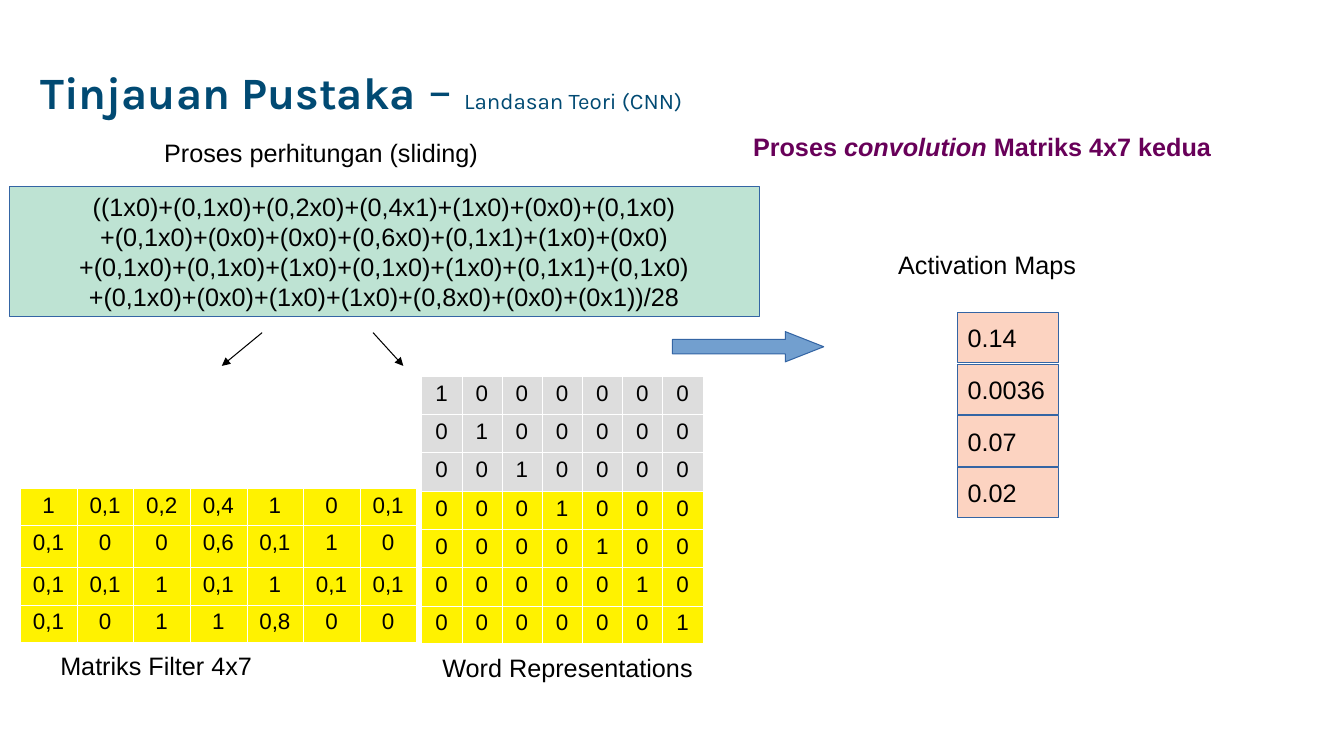
from lxml.etree import SubElement
from pptx import Presentation
from pptx.dml.color import RGBColor
from pptx.enum.shapes import MSO_CONNECTOR, MSO_SHAPE
from pptx.enum.text import MSO_ANCHOR, MSO_AUTO_SIZE, PP_ALIGN
from pptx.oxml.ns import qn
from pptx.util import Inches, Pt

BLACK, WHITE, NAVY, PURPLE = "000000", "FFFFFF", "014A73", "680059"
GREEN, PEACH, BLUE, OUTLINE = "BEE3D3", "FCD3C1", "729FCF", "3465A4"
YELLOW, GREY = "FFF200", "DDDDDD"

FORMULA = [
    "((1x0)+(0,1x0)+(0,2x0)+(0,4x1)+(1x0)+(0x0)+(0,1x0)",
    "+(0,1x0)+(0x0)+(0x0)+(0,6x0)+(0,1x1)+(1x0)+(0x0)",
    "+(0,1x0)+(0,1x0)+(1x0)+(0,1x0)+(1x0)+(0,1x1)+(0,1x0)",
    "+(0,1x0)+(0x0)+(1x0)+(1x0)+(0,8x0)+(0x0)+(0x1))/28",
]
FILTER = [
    ["1", "0,1", "0,2", "0,4", "1", "0", "0,1"],
    ["0,1", "0", "0", "0,6", "0,1", "1", "0"],
    ["0,1", "0,1", "1", "0,1", "1", "0,1", "0,1"],
    ["0,1", "0", "1", "1", "0,8", "0", "0"],
]
ONE_HOT = [["1" if row == col else "0" for col in range(7)] for row in range(7)]
ACTIVATIONS = ["0.14", "0.0036", "0.07", "0.02"]


def rgb(color):
    return RGBColor.from_string(color)


def add_run(p, text, size=18, color=BLACK, font="Arial", bold=False, italic=False):
    r = p.add_run()
    r.text = text
    r.font.size, r.font.name = Pt(size), font
    r.font.bold, r.font.italic = bold, italic
    r.font.color.rgb = rgb(color)


def add_label(s, x, y, w, h, text=None):
    tf = s.shapes.add_textbox(Inches(x), Inches(y), Inches(w), Inches(h)).text_frame
    tf.word_wrap = True
    p = tf.paragraphs[0]
    if text:
        add_run(p, text)
    return p


def add_box(s, kind, x, y, w, h, fill, lines=(), align=PP_ALIGN.LEFT):
    sp = s.shapes.add_shape(kind, Inches(x), Inches(y), Inches(w), Inches(h))
    sp.shadow.inherit = False
    sp.fill.solid()
    sp.fill.fore_color.rgb = rgb(fill)
    sp.line.color.rgb = rgb(OUTLINE)
    sp.line.width = Pt(0.75)
    tf = sp.text_frame
    tf.word_wrap = False
    tf.vertical_anchor = MSO_ANCHOR.MIDDLE
    for i, line in enumerate(lines):
        p = tf.add_paragraph() if i else tf.paragraphs[0]
        p.alignment = align
        add_run(p, line)
    return sp


def add_arrow(s, x1, y1, x2, y2):
    line = s.shapes.add_connector(MSO_CONNECTOR.STRAIGHT, Inches(x1), Inches(y1),
                                  Inches(x2), Inches(y2))
    line.line.color.rgb = rgb(BLACK)
    line.line.width = Pt(0.75)
    SubElement(line.line._get_or_add_ln(), qn("a:tailEnd"), type="triangle")
    SubElement(line._element.spPr, qn("a:effectLst"))


def add_borders(cell):
    tcPr = cell._tc.get_or_add_tcPr()
    for side in ("lnL", "lnR", "lnT", "lnB"):
        ln = SubElement(tcPr, qn(f"a:{side}"), w="720")
        SubElement(SubElement(ln, qn("a:solidFill")), qn("a:srgbClr"), val=WHITE)


def add_matrix(s, x, y, w, heights, values, fills):
    table = s.shapes.add_table(len(values), len(values[0]), Inches(x), Inches(y),
                               Inches(w), Inches(sum(heights))).table
    table.first_row = table.horz_banding = False
    for row, height in zip(table.rows, heights):
        row.height = Inches(height)
    for i, (row, fill) in enumerate(zip(values, fills)):
        for j, value in enumerate(row):
            cell = table.cell(i, j)
            add_borders(cell)
            cell.fill.solid()
            cell.fill.fore_color.rgb = rgb(fill)
            p = cell.text_frame.paragraphs[0]
            p.alignment = PP_ALIGN.CENTER
            add_run(p, value, 16)


def add_title(s):
    title = s.shapes.title
    title.left, title.top = Inches(0.3), Inches(0.2)
    title.width, title.height = Inches(7.5), Inches(1.45)
    tf = title.text_frame
    tf.word_wrap = True
    tf.auto_size = MSO_AUTO_SIZE.NONE
    tf.vertical_anchor = MSO_ANCHOR.MIDDLE
    p = tf.paragraphs[0]
    p.alignment = PP_ALIGN.LEFT
    p.line_spacing = 0.9
    add_run(p, "Tinjauan Pustaka", 32, NAVY, "Karla", bold=True)
    add_run(p, " – ", 36, NAVY, "Karla")
    add_run(p, "Landasan Teori (CNN)", 16, NAVY, "Karla")


def main():
    prs = Presentation()
    prs.slide_width, prs.slide_height = Inches(13.33), Inches(7.5)
    s = prs.slides.add_slide(prs.slide_layouts[5])
    add_title(s)

    # Matrices
    add_matrix(s, 4.18, 3.73, 2.79, [0.38] * 6 + [0.37], ONE_HOT, [GREY] * 3 + [YELLOW] * 4)
    add_matrix(s, 0.2, 4.84, 3.93, [0.37, 0.42, 0.37, 0.37], FILTER, [YELLOW] * 4)
    add_label(s, 0.5, 6.4, 2.5, 0.38, "Matriks Filter 4x7")
    add_label(s, 4.29, 6.42, 3.1, 0.38, "Word Representations")

    # Sliding calculation
    add_label(s, 1.53, 1.31, 3.97, 0.38, "Proses perhitungan (sliding)")
    add_box(s, MSO_SHAPE.RECTANGLE, 0.09, 1.85, 7.44, 1.29, GREEN, FORMULA, PP_ALIGN.CENTER)
    add_arrow(s, 2.6, 3.3, 2.2, 3.63)
    add_arrow(s, 3.7, 3.3, 4, 3.63)

    # Convolution result
    p = add_label(s, 7.37, 1.25, 5.59, 0.66)
    add_run(p, "Proses ", color=PURPLE, bold=True)
    add_run(p, "convolution", color=PURPLE, bold=True, italic=True)
    add_run(p, " Matriks 4x7 kedua", color=PURPLE, bold=True)
    arrow = add_box(s, MSO_SHAPE.RIGHT_ARROW, 6.67, 3.29, 1.5, 0.3, BLUE)
    arrow.adjustments[0], arrow.adjustments[1] = 0.48, 1.27
    add_label(s, 8.81, 2.42, 2.29, 0.38, "Activation Maps")
    for i, value in enumerate(ACTIVATIONS):
        add_box(s, MSO_SHAPE.RECTANGLE, 9.5, 3.1 + 0.513 * i, 1, 0.5, PEACH, [value])

    prs.save("out.pptx")


if __name__ == "__main__":
    main()
